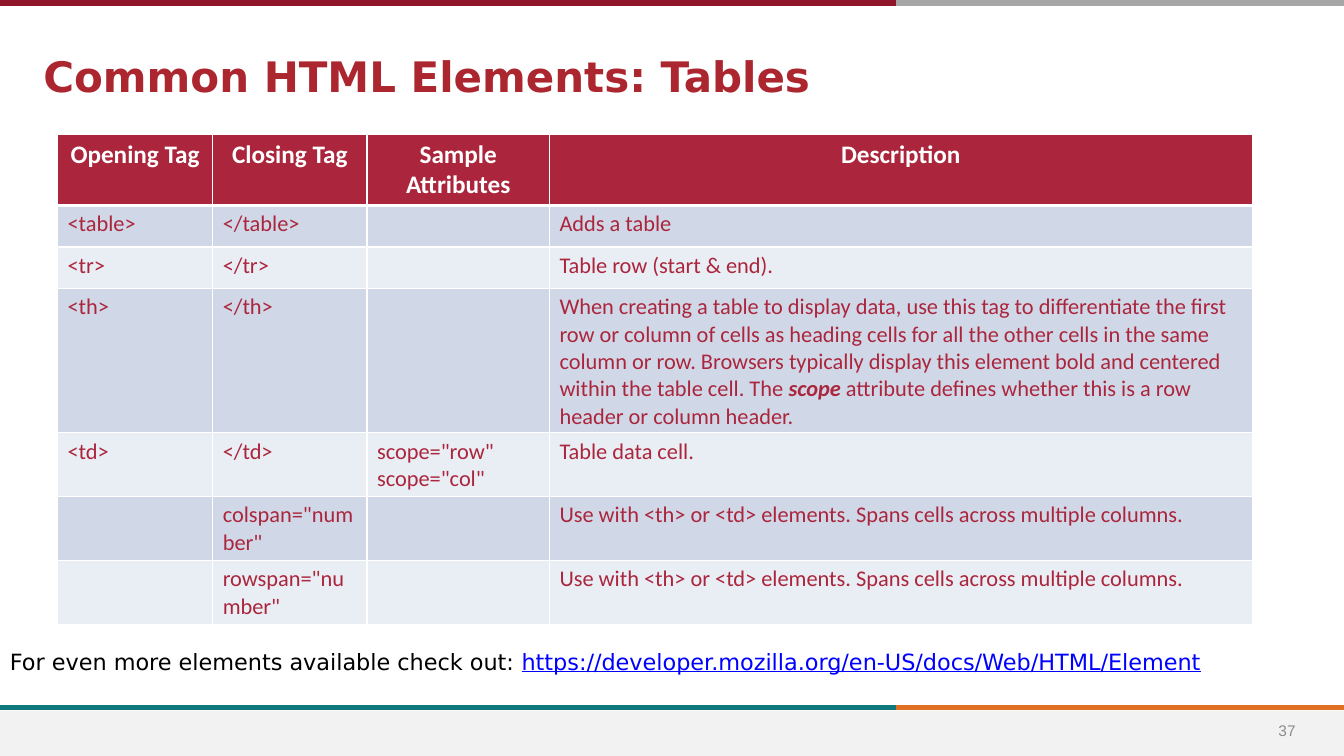
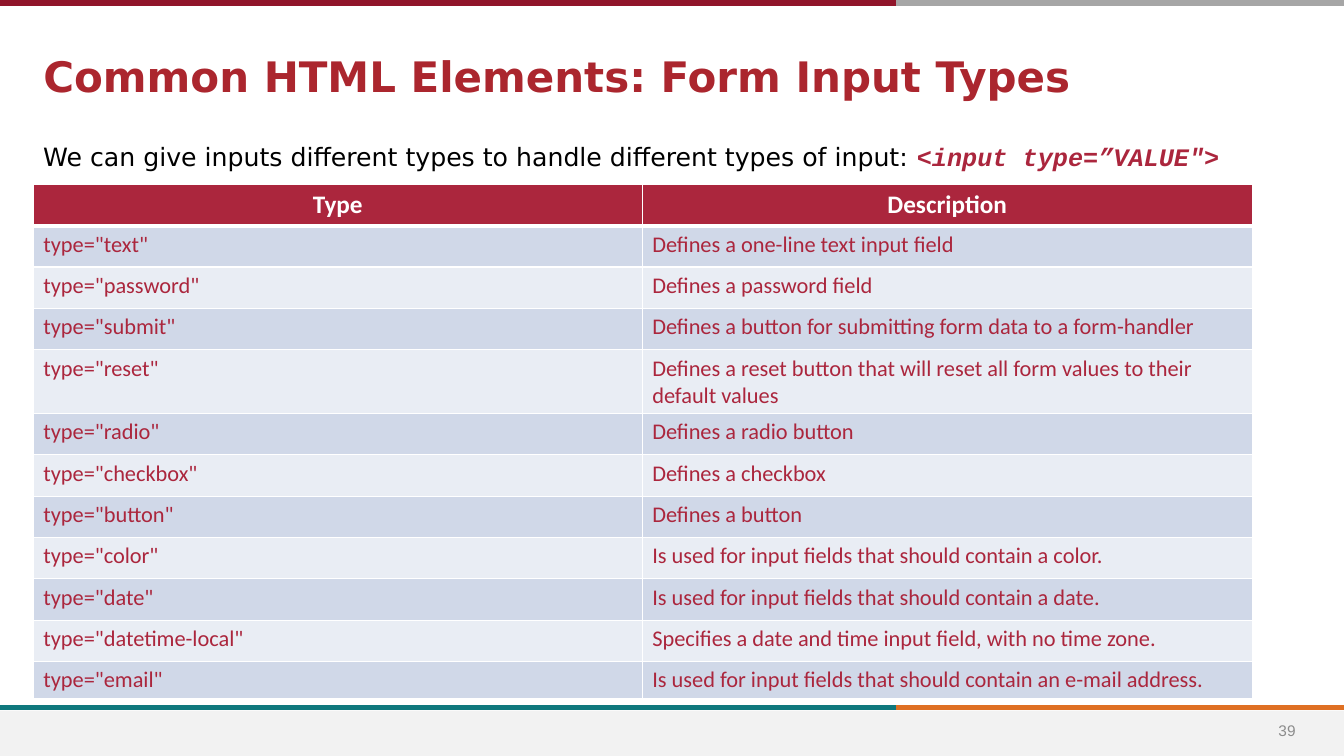
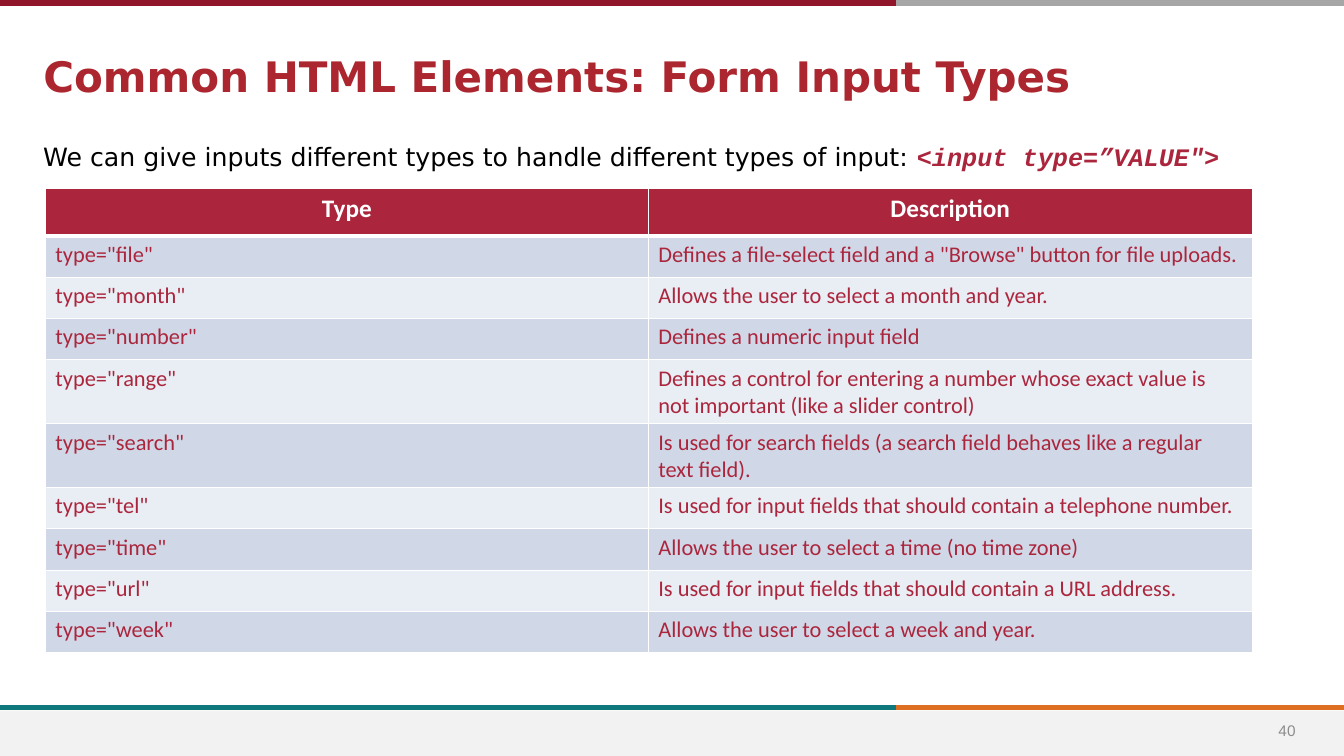
from dataclasses import dataclass, replace

from lxml.etree import SubElement
from pptx import Presentation
from pptx.dml.color import RGBColor
from pptx.enum.shapes import MSO_CONNECTOR as Connector, MSO_SHAPE as Shape
from pptx.enum.text import MSO_ANCHOR as Anchor, PP_ALIGN as Align
from pptx.oxml.ns import qn
from pptx.util import Pt

PX = 9144  # EMU; 100 px to the inch
SLIDE_W, SLIDE_H = 1333, 750
SPLIT = 889

WHITE = RGBColor(0xFF, 0xFF, 0xFF)
BLACK = RGBColor(0x00, 0x00, 0x00)
TITLE_RED = RGBColor(0xAB, 0x26, 0x2E)
RED = RGBColor(0xAB, 0x26, 0x3D)
DARK_RED = RGBColor(0x90, 0x15, 0x2A)
SILVER = RGBColor(0xA6, 0xA6, 0xA6)
TEAL = RGBColor(0x0F, 0x78, 0x7D)
ORANGE = RGBColor(0xDF, 0x70, 0x23)
FOOTER_GREY = RGBColor(0xF2, 0xF2, 0xF2)
NUMBER_GREY = RGBColor(0x8C, 0x8C, 0x8C)
LINK_BLUE = RGBColor(0x00, 0x00, 0xFF)
ROW_FILLS = (RGBColor(0xD0, 0xD8, 0xE8), RGBColor(0xE9, 0xED, 0xF4))


@dataclass(frozen=True)
class Style:
    font: str
    size: int
    color: RGBColor
    bold: bool = False
    italic: bool = False
    underline: bool = False


@dataclass(frozen=True)
class Run:
    text: str
    style: Style


@dataclass(frozen=True)
class Box:
    x: int
    y: int
    w: int
    h: int

    def emu(self) -> tuple[int, ...]:
        return tuple(v * PX for v in (self.x, self.y, self.w, self.h))


@dataclass(frozen=True)
class Rule:
    x1: int
    x2: int
    y: int
    color: RGBColor


Content = str | tuple[Run, ...]


@dataclass(frozen=True)
class Grid:
    x: int
    y: int
    cols: tuple[int, ...]
    header_h: int
    header: tuple[str, ...]
    rows: tuple[tuple[Content, ...], ...]
    last_h: int = 41


@dataclass(frozen=True)
class Page:
    number: int
    title: str
    grid: Grid
    note_box: Box
    note: tuple[Run, ...]


TITLE = Style("DejaVu Sans", 30, TITLE_RED, bold=True)
HEAD = Style("Calibri", 18, WHITE, bold=True)
CELL = Style("Calibri", 16, RED)
CELL_EMPHASIS = replace(CELL, bold=True, italic=True)
LEAD = Style("DejaVu Sans", 18, BLACK)
CODE = Style("Courier New", 18, RED, bold=True, italic=True)
NOTE = replace(LEAD, size=16)
LINK = replace(NOTE, color=LINK_BLUE, underline=True)
NUMBER = Style("Arial", 11, NUMBER_GREY)

TITLE_BOX = Box(33, 46, 1185, 59)
LEAD_BOX = Box(33, 135, 1198, 71)
NUMBER_BOX = Box(1242, 705, 69, 40)
FOOTER_BOX = Box(0, 705, SLIDE_W, 45)
RULES = (
    Rule(SPLIT, SLIDE_W, 702, ORANGE),
    Rule(0, SPLIT, 702, TEAL),
    Rule(SPLIT, SLIDE_W, 3, SILVER),
    Rule(0, SPLIT, 3, DARK_RED),
)
ROW_H = 41

INPUT_TITLE = "Common HTML Elements: Form Input Types"
INPUT_LEAD = (
    Run("We can give inputs different types to handle different types of input: ", LEAD),
    Run('<input type=”VALUE">', CODE),
)
INPUT_HEADER = ("Type", "Description")
SPAN_TEXT = "Use with <th> or <td> elements. Spans cells across multiple columns."

PAGES = (
    Page(
        37,
        "Common HTML Elements: Tables",
        Grid(57, 133, (154, 153, 181, 697), 71,
             ("Opening Tag", "Closing Tag", "Sample Attributes", "Description"), (
                 ("<table>", "</table>", "", "Adds a table"),
                 ("<tr>", "</tr>", "", "Table row (start & end)."),
                 ("<th>", "</th>", "", (
                     Run("When creating a table to display data, use this tag to "
                         "differentiate the first row or column of cells as heading "
                         "cells for all the other cells in the same column or row. "
                         "Browsers typically display this element bold and centered "
                         "within the table cell. The ", CELL),
                     Run("scope", CELL_EMPHASIS),
                     Run(" attribute defines whether this is a row header or "
                         "column header.", CELL),
                 )),
                 ("<td>", "</td>", 'scope="row"\nscope="col"', "Table data cell."),
                 ("", 'colspan="number"', "", SPAN_TEXT),
                 ("", 'rowspan="number"', "", SPAN_TEXT),
             )),
        Box(0, 638, SLIDE_W, 37),
        (
            Run("For even more elements available check out: ", NOTE),
            Run("https://developer.mozilla.org/en-US/docs/Web/HTML/Element", LINK),
        ),
    ),
    Page(
        39,
        INPUT_TITLE,
        Grid(33, 183, (604, 605), 41, INPUT_HEADER, (
            ('type="text"', "Defines a one-line text input field"),
            ('type="password"', "Defines a password field"),
            ('type="submit"', "Defines a button for submitting form data to a form-handler"),
            ('type="reset"', "Defines a reset button that will reset all form values to "
                             "their default values"),
            ('type="radio"', "Defines a radio button"),
            ('type="checkbox"', "Defines a checkbox"),
            ('type="button"', "Defines a button"),
            ('type="color"', "Is used for input fields that should contain a color."),
            ('type="date"', "Is used for input fields that should contain a date."),
            ('type="datetime-local"',
             "Specifies a date and time input field, with no time zone."),
            ('type="email"',
             "Is used for input fields that should contain an e-mail address."),
        ), last_h=37),
        LEAD_BOX,
        INPUT_LEAD,
    ),
    Page(
        40,
        INPUT_TITLE,
        Grid(45, 187, (598, 599), 47, INPUT_HEADER, (
            ('type="file"',
             'Defines a file-select field and a "Browse" button for file uploads.'),
            ('type="month"', "Allows the user to select a month and year."),
            ('type="number"', "Defines a numeric input field"),
            ('type="range"', "Defines a control for entering a number whose exact value "
                             "is not important (like a slider control)"),
            ('type="search"', "Is used for search fields (a search field behaves like a "
                              "regular text field)."),
            ('type="tel"',
             "Is used for input fields that should contain a telephone number."),
            ('type="time"', "Allows the user to select a time (no time zone)"),
            ('type="url"', "Is used for input fields that should contain a URL address."),
            ('type="week"', "Allows the user to select a week and year."),
        )),
        LEAD_BOX,
        INPUT_LEAD,
    ),
)


def apply_style(font, style: Style) -> None:
    font.name = style.font
    font.size = Pt(style.size)
    font.color.rgb = style.color
    font.bold = style.bold
    font.italic = style.italic
    font.underline = style.underline


def write(tf, runs: tuple[Run, ...], align=Align.LEFT) -> None:
    """Fill the first paragraph; a newline in a run becomes a line break."""
    p = tf.paragraphs[0]
    p.alignment = align
    for run in runs:
        for i, line in enumerate(run.text.split("\n")):
            if i:
                p.add_line_break()
            r = p.add_run()
            r.text = line
            apply_style(r.font, run.style)


def add_text(s, box: Box, runs: tuple[Run, ...], align=Align.LEFT, anchor=Anchor.TOP) -> None:
    tf = s.shapes.add_textbox(*box.emu()).text_frame
    tf.word_wrap = True
    tf.vertical_anchor = anchor
    write(tf, runs, align)


def set_borders(cell, top: int, bottom: int) -> None:
    """Draw white cell borders, widths in points; call before setting the fill."""
    tc_pr = cell._tc.get_or_add_tcPr()
    for side, width in (("L", 1), ("R", 1), ("T", top), ("B", bottom)):
        ln = SubElement(tc_pr, qn(f"a:ln{side}"), w=str(Pt(width)))
        SubElement(SubElement(ln, qn("a:solidFill")), qn("a:srgbClr"), val=str(WHITE))


def add_grid(s, grid: Grid) -> None:
    heights = [grid.header_h] + [ROW_H] * (len(grid.rows) - 1) + [grid.last_h]
    box = Box(grid.x, grid.y, sum(grid.cols), sum(heights))
    table = s.shapes.add_table(len(heights), len(grid.cols), *box.emu()).table
    for column, width in zip(table.columns, grid.cols):
        column.width = width * PX
    for row, height in zip(table.rows, heights):
        row.height = height * PX

    for i, contents in enumerate((grid.header, *grid.rows)):
        is_head = i == 0
        style = HEAD if is_head else CELL
        for j, content in enumerate(contents):
            cell = table.cell(i, j)
            set_borders(cell, top=3 if i == 1 else 1, bottom=3 if is_head else 1)
            cell.fill.solid()
            cell.fill.fore_color.rgb = RED if is_head else ROW_FILLS[(i - 1) % 2]
            if not content:
                apply_style(cell.text_frame.paragraphs[0].font, style)
                continue
            runs = (Run(content, style),) if isinstance(content, str) else content
            write(cell.text_frame, runs, Align.CENTER if is_head else Align.LEFT)


def add_rule(s, rule: Rule):
    line = s.shapes.add_connector(
        Connector.STRAIGHT, rule.x1 * PX, rule.y * PX, rule.x2 * PX, rule.y * PX)
    line.line.color.rgb = rule.color
    line.line.width = Pt(4)
    SubElement(line.element.spPr, qn("a:effectLst"))
    return line


def add_footer_band(s):
    band = s.shapes.add_shape(Shape.RECTANGLE, *FOOTER_BOX.emu())
    band.shadow.inherit = False
    band.fill.solid()
    band.fill.fore_color.rgb = FOOTER_GREY
    band.line.fill.background()
    return band


def dress_layout(layout, s) -> None:
    """Place the title and move the band and rules, drawn on s, to the layout."""
    title = layout.placeholders[0]
    title.left, title.top, title.width, title.height = TITLE_BOX.emu()
    for shape in [add_footer_band(s)] + [add_rule(s, rule) for rule in RULES]:
        layout.shapes.element.append(shape.element)


def add_page(s, page: Page) -> None:
    write(s.shapes.title.text_frame, (Run(page.title, TITLE),))
    add_text(s, NUMBER_BOX, (Run(str(page.number), NUMBER),), Align.CENTER, Anchor.MIDDLE)
    add_grid(s, page.grid)
    add_text(s, page.note_box, page.note)


def main() -> None:
    prs = Presentation()
    prs.slide_width, prs.slide_height = SLIDE_W * PX, SLIDE_H * PX
    layout = prs.slide_layouts.get_by_name("Title Only")
    slides = [prs.slides.add_slide(layout) for _ in PAGES]
    dress_layout(layout, slides[0])
    for s, page in zip(slides, PAGES):
        add_page(s, page)
    prs.save("out.pptx")


if __name__ == "__main__":
    main()
